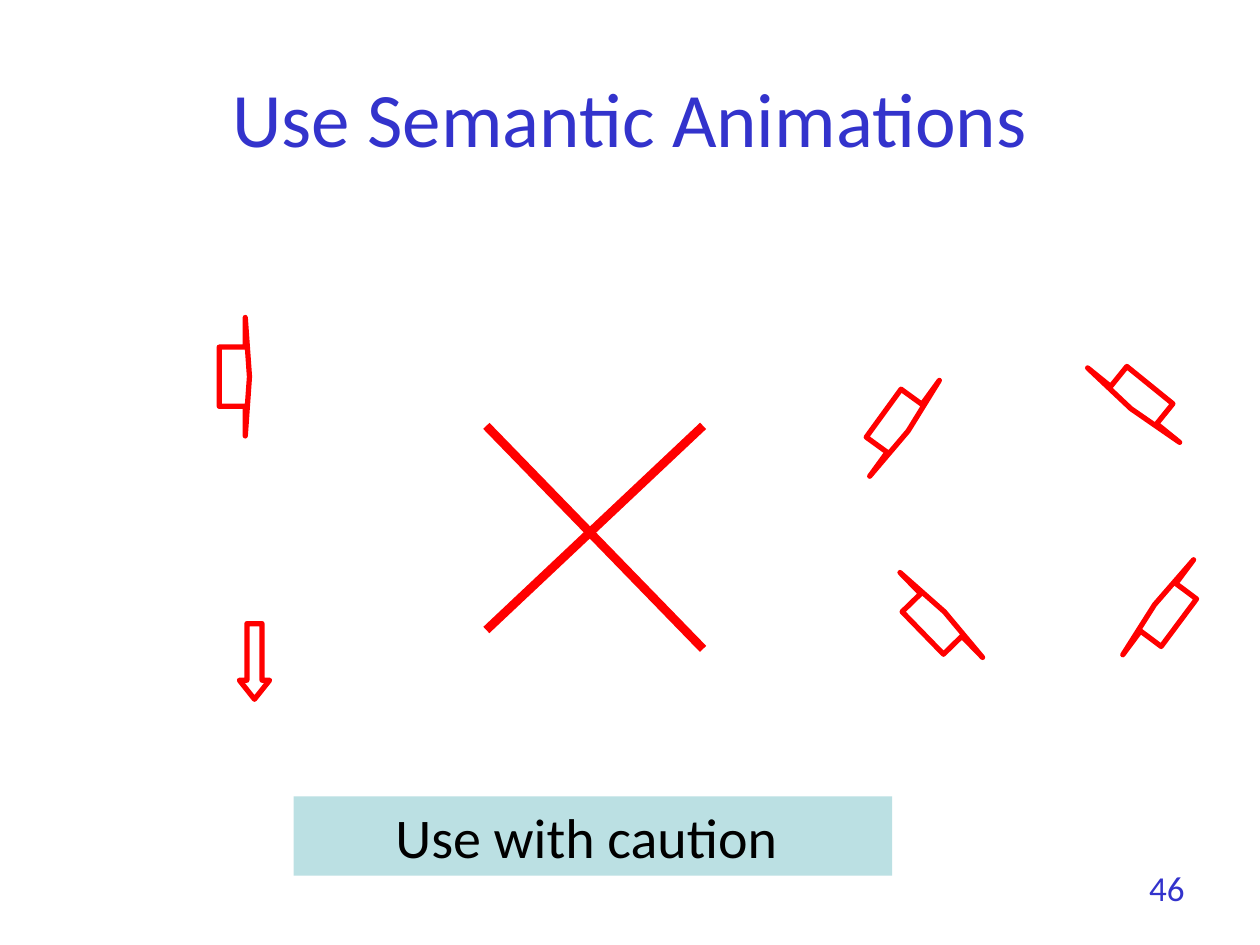
from pptx import Presentation
from pptx.dml.color import RGBColor
from pptx.enum.shapes import MSO_CONNECTOR, MSO_SHAPE
from pptx.enum.text import MSO_ANCHOR, PP_ALIGN
from pptx.oxml.ns import qn
from pptx.util import Inches, Pt

BLUE = RGBColor(0x33, 0x33, 0xCC)
RED = RGBColor(0xFF, 0x00, 0x00)
TEAL = RGBColor(0xBB, 0xE0, 0xE3)
BLACK = RGBColor(0x00, 0x00, 0x00)
FONT = "Calibri"
RIGHT, DOWN = MSO_SHAPE.RIGHT_ARROW, MSO_SHAPE.DOWN_ARROW
STRAIGHT = MSO_CONNECTOR.STRAIGHT
CENTER, ALIGN_RIGHT = PP_ALIGN.CENTER, PP_ALIGN.RIGHT
TOP, MIDDLE = MSO_ANCHOR.TOP, MSO_ANCHOR.MIDDLE


def add_label(s, box, text, size, color, align, anchor=TOP, fill=None):
    sp = s.shapes.add_textbox(*map(Inches, box))
    if fill is not None:
        sp.fill.solid()
        sp.fill.fore_color.rgb = fill
    tf = sp.text_frame
    tf.word_wrap = True
    tf.vertical_anchor = anchor
    p = tf.paragraphs[0]
    p.alignment = align
    r = p.add_run()
    r.text = text
    r.font.name = FONT
    r.font.size = Pt(size)
    r.font.color.rgb = color


def add_arrow(s, kind, box, head, rotation=0):
    """Outline arrow; head is the head length relative to the short side."""
    sp = s.shapes.add_shape(kind, *map(Inches, box))
    sp.adjustments[0] = 0.5
    sp.adjustments[1] = head
    sp.rotation = rotation
    sp.shadow.inherit = False
    sp.fill.background()
    sp.line.color.rgb = RED
    sp.line.width = Pt(3)


def add_stroke(s, start, end):
    line = s.shapes.add_connector(STRAIGHT, *map(Inches, start + end))
    line.line.color.rgb = RED
    line.line.width = Pt(5)
    sp_pr = line._element.spPr
    sp_pr.append(sp_pr.makeelement(qn("a:effectLst"), {}))


def add_cross(s, left, top, width, fall, rise):
    """Two crossing strokes from the same top edge, of different heights."""
    right = left + width
    add_stroke(s, (left, top), (right, top + fall))
    add_stroke(s, (right, top), (left, top + rise))


def add_inward_arrows(s, left, top):
    """Four turned arrows around a centre, as offsets from the top left."""
    for dx, dy, rotation in ((0.30, 1.79, 315.8), (2.15, 1.72, 216.7),
                             (1.94, 0, 129), (0, 0.20, 36)):
        add_arrow(s, RIGHT, (left + dx, top + dy, 0.24, 0.94), 0.147, rotation)


def main():
    prs = Presentation()
    prs.slide_width, prs.slide_height = Inches(10), Inches(7.5)
    s = prs.slides.add_slide(prs.slide_layouts[6])
    add_label(s, (0.5, 0.3, 9, 1.25), "Use Semantic Animations", 44, BLUE,
              CENTER, MIDDLE)
    add_label(s, (8.5, 6.83, 1, 0.52), "46", 20, BLUE, ALIGN_RIGHT)
    add_arrow(s, RIGHT, (1.74, 2.52, 0.24, 0.94), 0.139)
    add_arrow(s, DOWN, (1.9, 4.95, 0.24, 0.6), 0.629)
    add_cross(s, 3.86, 3.38, 1.72, fall=1.77, rise=1.62)
    add_label(s, (2.33, 6.32, 4.75, 0.63), "Use with caution ", 32, BLACK,
              CENTER, fill=TEAL)
    add_inward_arrows(s, 6.99, 2.68)
    prs.save("out.pptx")


if __name__ == "__main__":
    main()
